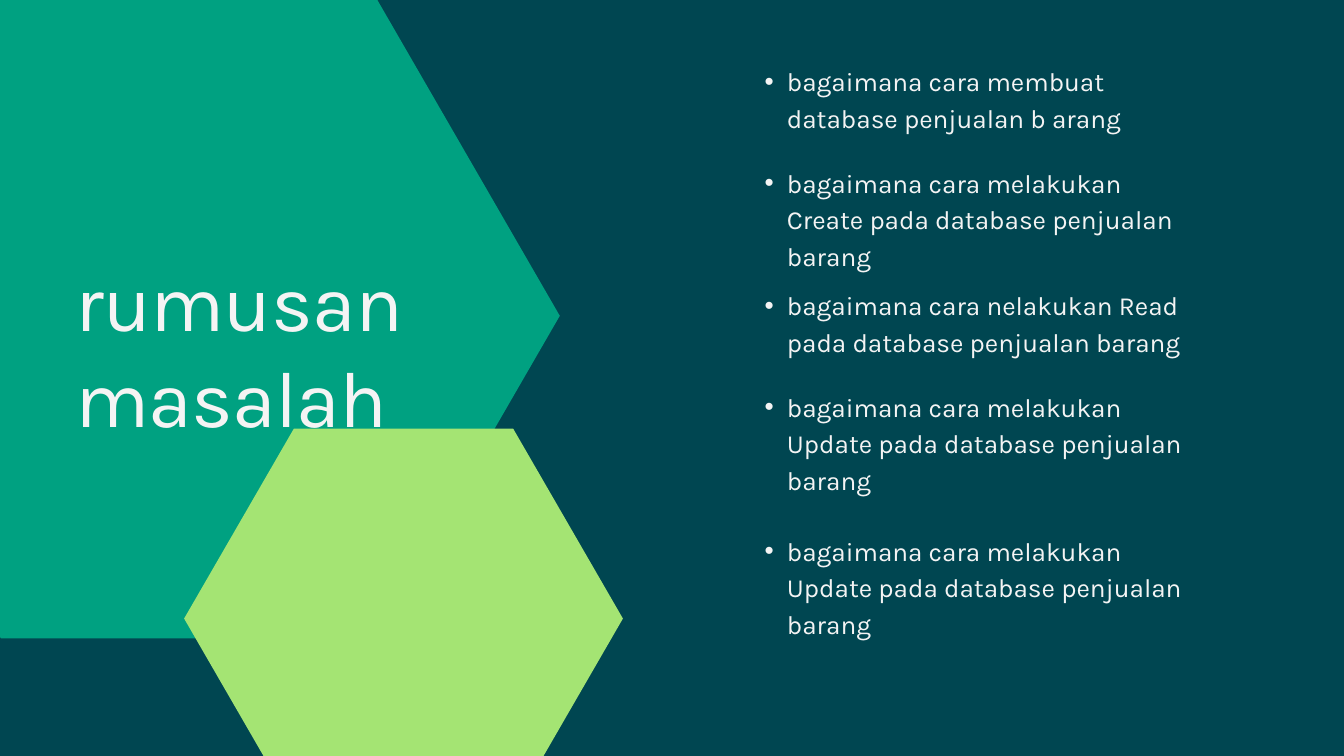
from dataclasses import dataclass

from lxml.etree import SubElement
from pptx import Presentation
from pptx.dml.color import RGBColor
from pptx.enum.shapes import MSO_SHAPE
from pptx.enum.text import MSO_ANCHOR, MSO_AUTO_SIZE, PP_ALIGN
from pptx.oxml.ns import qn
from pptx.util import Inches, Pt


@dataclass(frozen=True)
class Theme:
    font: str = "Karla"
    background: str = "004651"
    teal: str = "00A181"
    lime: str = "A4E473"
    ink: str = "F4F4F4"
    title_size: float = 85
    title_leading: float = 102
    title_tracking: float = -0.8
    list_size: float = 28
    list_leading: float = 39.2


class SlideBuilder:
    def __init__(self, slide, theme):
        self.slide = slide
        self.theme = theme
        self.hexagon_count = 0

    def background(self):
        fill = self.slide.background.fill
        fill.solid()
        fill.fore_color.rgb = RGBColor.from_string(self.theme.background)

    def hexagon(self, left, top, width, height, color):
        """Add a flat-topped hexagon behind the placeholders."""
        hexagon = self.slide.shapes.add_shape(
            MSO_SHAPE.HEXAGON, Inches(left), Inches(top), Inches(width), Inches(height))
        hexagon.adjustments[0] = width / 4 / height
        hexagon.shadow.inherit = False
        hexagon.fill.solid()
        hexagon.fill.fore_color.rgb = RGBColor.from_string(color)
        hexagon.line.fill.background()
        tree = hexagon.element.getparent()
        tree.insert(2 + self.hexagon_count, hexagon.element)
        self.hexagon_count += 1

    def place(self, placeholder, left, top, width, height):
        """Position a placeholder and return its text frame without margins."""
        placeholder.left, placeholder.top = Inches(left), Inches(top)
        placeholder.width, placeholder.height = Inches(width), Inches(height)
        frame = placeholder.text_frame
        frame.margin_left = frame.margin_right = 0
        frame.margin_top = frame.margin_bottom = 0
        frame.word_wrap = True
        frame.auto_size = MSO_AUTO_SIZE.NONE
        frame.vertical_anchor = MSO_ANCHOR.TOP
        return frame

    def style(self, paragraph, size, leading, space_before=0):
        paragraph.alignment = PP_ALIGN.LEFT
        paragraph.line_spacing = Pt(leading)
        paragraph.space_before = Pt(space_before)
        paragraph.space_after = Pt(0)
        for run in paragraph.runs:
            run.font.name = self.theme.font
            run.font.size = Pt(size)
            run.font.color.rgb = RGBColor.from_string(self.theme.ink)

    def title(self, text, *box):
        frame = self.place(self.slide.shapes.title, *box)
        frame.text = text
        heading = frame.paragraphs[0]
        self.style(heading, self.theme.title_size, self.theme.title_leading)
        tracking = str(round(self.theme.title_tracking * 100))
        heading.runs[0].font._element.set("spc", tracking)

    def bullets(self, items, *box):
        """Fill the body with (text, space before in points) items."""
        frame = self.place(self.slide.placeholders[1], *box)
        frame.text = "\n".join(text for text, _ in items)
        for question, (_, gap) in zip(frame.paragraphs, items):
            self.style(question, self.theme.list_size, self.theme.list_leading, gap)
            properties = question._p.get_or_add_pPr()
            properties.set("marL", str(Inches(0.66)))
            properties.set("indent", str(Inches(-0.33)))
            SubElement(properties, qn("a:buFont"), typeface="Arial")
            SubElement(properties, qn("a:buChar"), char="•")


def main():
    theme = Theme()
    presentation = Presentation()
    presentation.slide_width = Inches(20)
    presentation.slide_height = Inches(11.25)
    slide = presentation.slides.add_slide(presentation.slide_layouts[1])

    builder = SlideBuilder(slide, theme)
    builder.background()
    builder.hexagon(-2.76, -0.1, 11.09, 9.6, theme.teal)
    builder.hexagon(2.74, 6.38, 6.53, 5.65, theme.lime)
    builder.title("rumusan masalah", 1.12, 3.76, 4.88, 2.81)

    questions = [
        ("bagaimana cara membuat database penjualan b arang", 0),
        ("bagaimana cara melakukan Create pada database penjualan barang", 30),
        ("bagaimana cara nelakukan Read pada database penjualan barang", 14),
        ("bagaimana cara melakukan Update pada database penjualan barang", 30),
        ("bagaimana cara melakukan Update pada database penjualan barang", 37),
    ]
    builder.bullets(questions, 11.05, 0.9, 6.68, 8.6)
    presentation.save("out.pptx")


if __name__ == "__main__":
    main()
